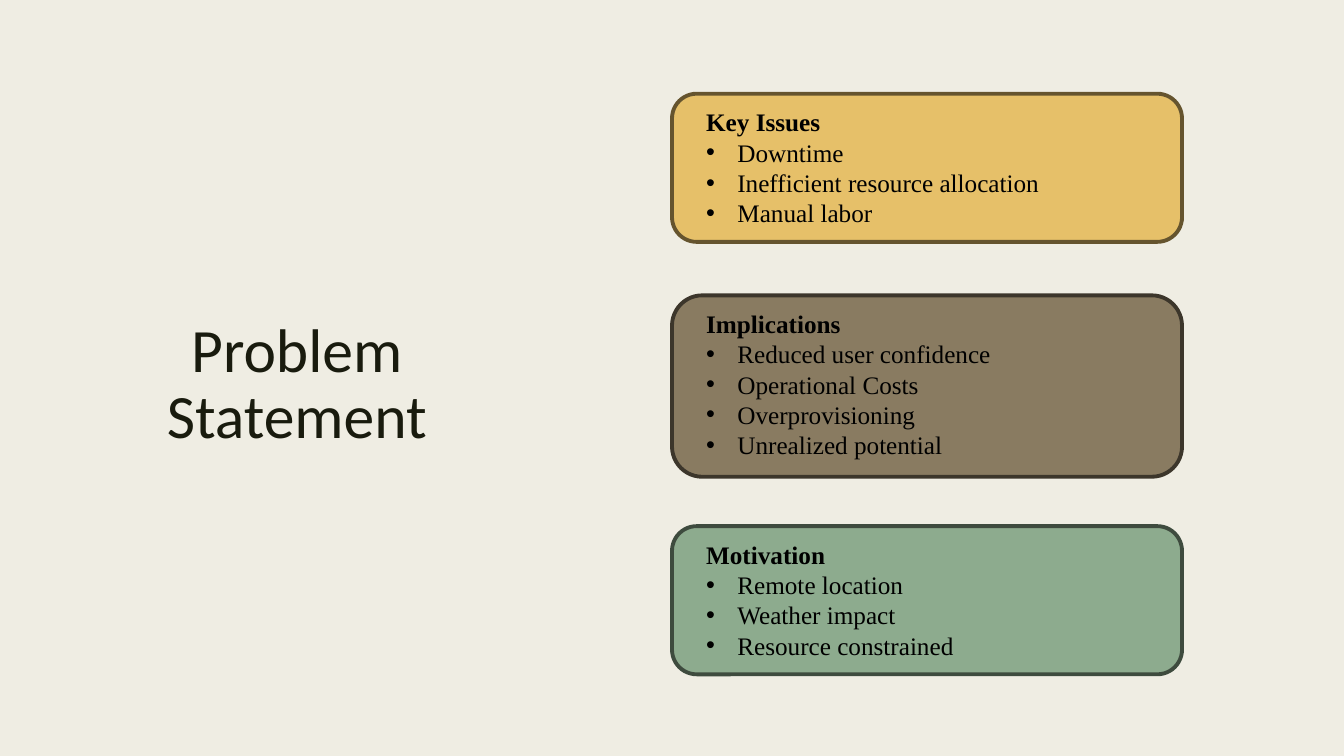
from lxml.etree import SubElement
from pptx import Presentation
from pptx.dml.color import RGBColor
from pptx.enum.shapes import MSO_SHAPE
from pptx.enum.text import MSO_ANCHOR, MSO_AUTO_SIZE, PP_ALIGN
from pptx.oxml.ns import qn
from pptx.util import Inches, Pt

WIDE, HIGH = Inches(13.33), Inches(7.5)
HUES = {
    "back": "EFEDE3", "title": "191B0E", "text": "000000",
    "gold": "E6C069", "gold edge": "65542E",
    "brown": "897B61", "brown edge": "3C362B",
    "green": "8DAB8E", "green edge": "3E4B3E",
}
CARDS = [
    (12.4, "gold", "Key Issues",
     ["Downtime", "Inefficient resource allocation", "Manual labor"]),
    (39.07, "brown", "Implications",
     ["Reduced user confidence", "Operational Costs", "Overprovisioning",
      "Unrealized potential"]),
    (69.6, "green", "Motivation",
     ["Remote location", "Weather impact", "Resource constrained"]),
]


def hue(name):
    """Return the named colour."""
    return RGBColor.from_string(HUES[name])


def area(left, top, width, height):
    """Turn percentages of the slide into a box in EMU."""
    return (int(WIDE * left / 100), int(HIGH * top / 100),
            int(WIDE * width / 100), int(HIGH * height / 100))


def write(para, text, face, size, tone, bold=False):
    """Add one styled run to a paragraph."""
    run = para.add_run()
    run.text = text
    font = run.font
    font.name, font.size, font.bold = face, Pt(size), bold
    font.color.rgb = hue(tone)


def bullet(para):
    """Give a paragraph a round bullet and a hanging indent."""
    props = para._p.get_or_add_pPr()
    indent = Inches(0.31)
    props.set("marL", str(indent))
    props.set("indent", str(-indent))
    SubElement(props, qn("a:buFont")).set("typeface", "Arial")
    SubElement(props, qn("a:buChar")).set("char", "•")


def frame(slide, box):
    """Add a wrapping text box and return its text frame."""
    body = slide.shapes.add_textbox(*box).text_frame
    body.word_wrap = True
    return body


def title(slide, text):
    """Add the centred slide title."""
    body = frame(slide, area(8.55, 10.4, 27.08, 81.33))
    body.vertical_anchor = MSO_ANCHOR.MIDDLE
    para = body.paragraphs[0]
    para.alignment = PP_ALIGN.CENTER
    para.line_spacing = 0.89
    write(para, text, "Calibri", 44, "title")


def card(slide, top, tone, head, items):
    """Add a rounded card, sized by its line count, with a bullet list."""
    lines = len(items) + 1
    shape = slide.shapes.add_shape(
        MSO_SHAPE.ROUNDED_RECTANGLE, *area(50, top, 37.95, 4.4 * lines + 2))
    shape.shadow.inherit = False
    shape.fill.solid()
    shape.fill.fore_color.rgb = hue(tone)
    shape.line.color.rgb = hue(f"{tone} edge")
    shape.line.width = Pt(2.75)

    body = frame(slide, area(51.8, top + 1.07, 34.28, 4 * lines + 1.47))
    body.auto_size = MSO_AUTO_SIZE.SHAPE_TO_FIT_TEXT
    write(body.paragraphs[0], head, "Times New Roman", 18, "text", True)
    for item in items:
        para = body.add_paragraph()
        bullet(para)
        write(para, item, "Times New Roman", 18, "text")


def main():
    """Build and save the slide."""
    deck = Presentation()
    deck.slide_width, deck.slide_height = WIDE, HIGH
    slide = deck.slides.add_slide(deck.slide_layouts[6])
    slide.background.fill.solid()
    slide.background.fill.fore_color.rgb = hue("back")
    title(slide, "Problem Statement")
    for entry in CARDS:
        card(slide, *entry)
    deck.save("out.pptx")


if __name__ == "__main__":
    main()
